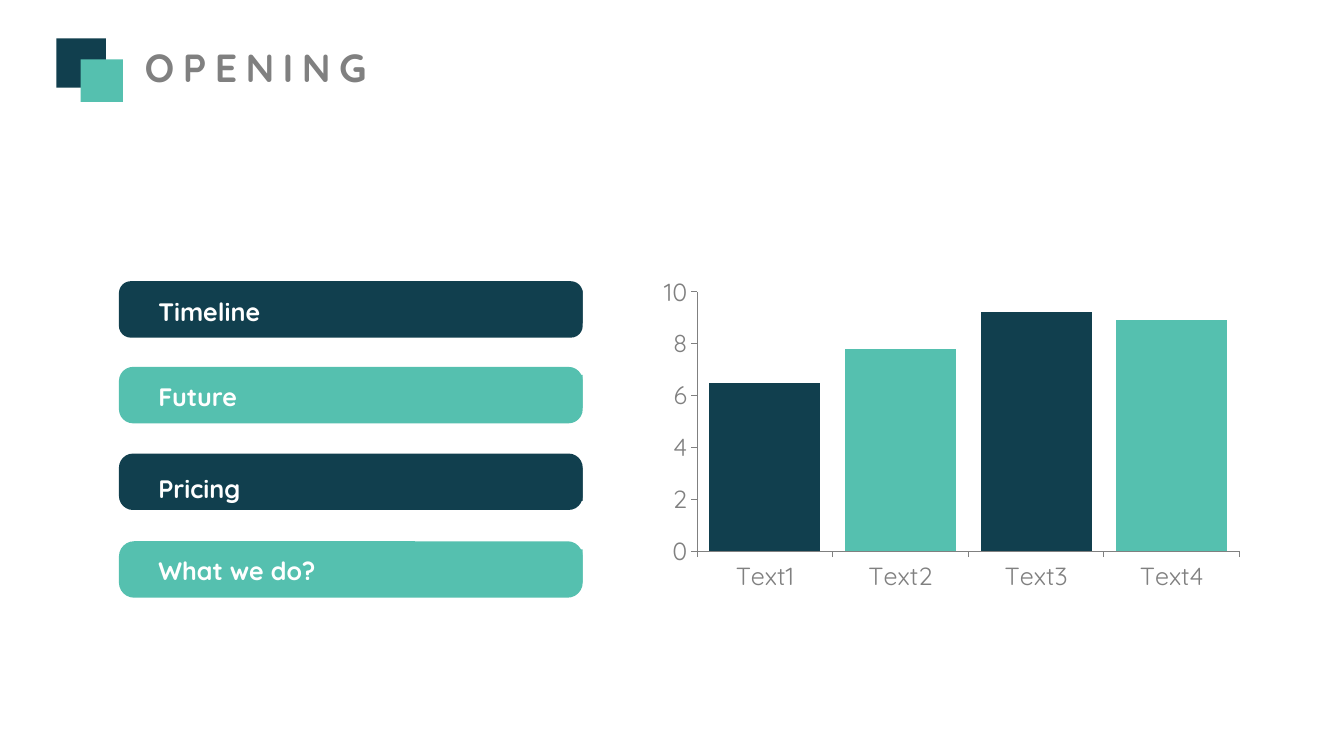
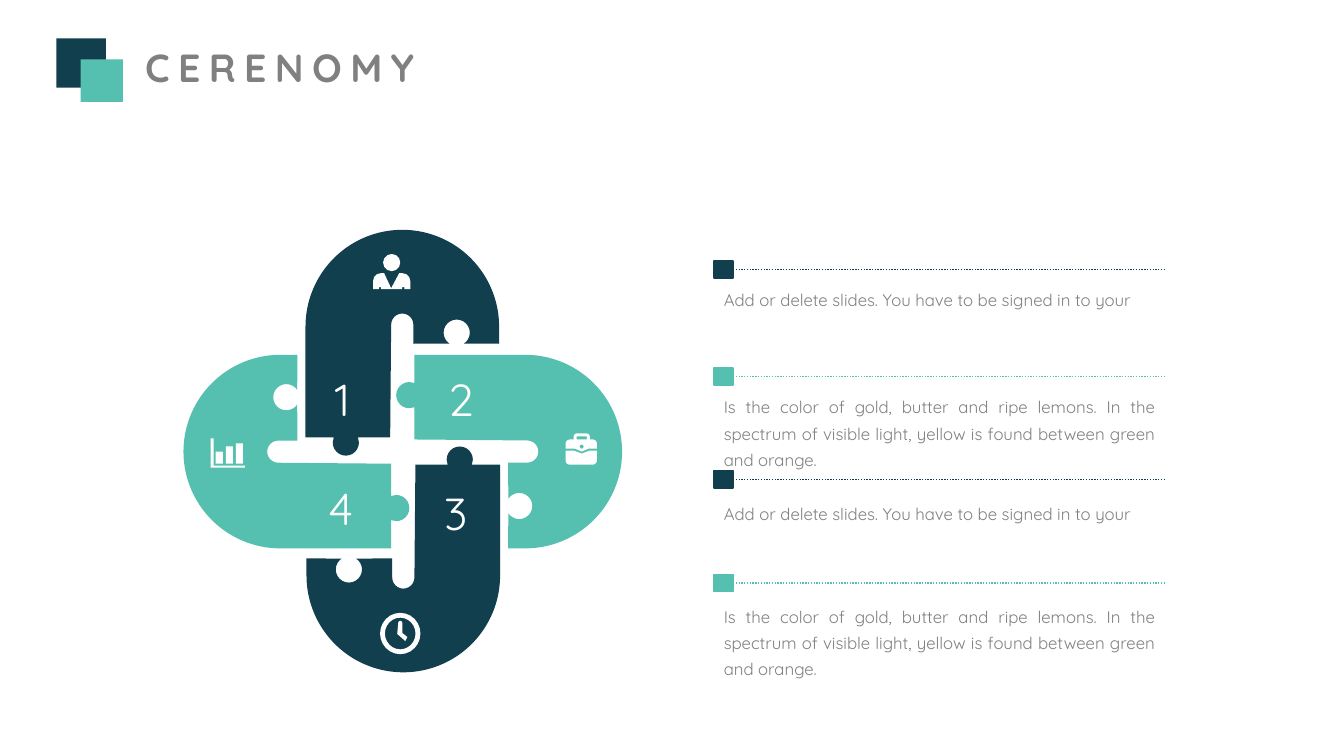
from itertools import cycle
from math import cos, radians, sin

from lxml import etree
from pptx import Presentation
from pptx.chart.data import CategoryChartData
from pptx.dml.color import RGBColor
from pptx.enum.chart import XL_CHART_TYPE, XL_TICK_MARK
from pptx.enum.dml import MSO_LINE
from pptx.enum.shapes import MSO_CONNECTOR, MSO_SHAPE
from pptx.enum.text import MSO_ANCHOR, MSO_AUTO_SIZE, PP_ALIGN
from pptx.oxml import parse_xml
from pptx.oxml.ns import nsdecls, qn
from pptx.util import Emu, Pt

NAVY = RGBColor(0x11, 0x3F, 0x4E)
TEAL = RGBColor(0x55, 0xC0, 0xAF)
GRAY = RGBColor(0x80, 0x80, 0x80)
WHITE = RGBColor(0xFF, 0xFF, 0xFF)
FONT = "Quicksand"
EMU_PER_PX = 9144

AGENDA = [
    ("Timeline", 279, 288, 0.21),
    ("Future", 364, 372, 0.25),
    ("Pricing", 450, 464, 0.25),
    ("What we do?", 537, 545, 0.27),
]
SCORES = {"Text1": 6.5, "Text2": 7.8, "Text3": 9.2, "Text4": 8.9}
SIGN_IN = "Add or delete slides. You have to be signed in to your"
YELLOW = (
    "Is the color of gold, butter and ripe lemons. In the spectrum of "
    "visible light, yellow is found between green and orange."
)
NOTES = [
    (SIGN_IN, 259, 277, 63),
    (YELLOW, 365, 383, 89),
    (SIGN_IN, 467, 489, 63),
    (YELLOW, 570, 591, 89),
]
PUZZLE = [(182, 352, 180), (287, 244, 270), (393, 352, 0), (288, 459, 90)]
NUMBERS = [("1", 308, 364, 63), ("2", 413, 364, 88), ("3", 408, 477, 88), ("4", 294, 472, 88)]


def px(length):
    """Turn px into EMU."""
    return Emu(round(length * EMU_PER_PX))


def arc(x, y, radius, start, end):
    """Return arc vertices, split at quadrants, as x, y, radius, start angle and sweep."""
    quadrants = [angle for angle in range(-360, 361, 90) if min(start, end) < angle < max(start, end)]
    angles = [start, *sorted(quadrants, reverse=end < start), end]
    points = [(x + radius * cos(radians(a)), y + radius * sin(radians(a))) for a in angles]
    bends = [(radius, a, b - a) for a, b in zip(angles, angles[1:])]
    return [points[0], *(point + bend for point, bend in zip(points[1:], bends))]


def paint(shape, color, border=None):
    """Give a shape a flat fill, an optional border and no shadow."""
    shape.shadow.inherit = False
    shape.fill.solid()
    shape.fill.fore_color.rgb = color
    if border:
        shape.line.color.rgb = border
        shape.line.width = Pt(1)
    else:
        shape.line.fill.background()
    return shape


def add_block(slide, kind, box, color, border=None):
    """Add a painted preset shape."""
    shape = slide.shapes.add_shape(kind, *map(px, box))
    return paint(shape, color, border)


def bend_segment(segment, radius, start, sweep):
    """Replace a straight segment of a freeform by an arc."""
    bend = etree.Element(qn("a:arcTo"))
    for key, value in (("wR", px(radius)), ("hR", px(radius)),
                       ("stAng", start % 360 * 60000), ("swAng", sweep * 60000)):
        bend.set(key, str(int(value)))
    segment.getparent().replace(segment, bend)


def add_outline(slide, color, *contours, left=0, top=0):
    """Add a closed freeform; contours after the first cut holes."""
    builder = None
    vertices = []
    for contour in contours:
        start, *rest = [(px(left + x), px(top + y)) for x, y, *_ in contour]
        if builder is None:
            builder = slide.shapes.build_freeform(*start)
        else:
            builder.move_to(*start)
        builder.add_line_segments(rest, close=True)
        vertices += contour[1:]
    shape = builder.convert_to_shape()
    segments = list(shape._element.iter(qn("a:lnTo")))
    for segment, (_, _, *bend) in zip(segments, vertices):
        if bend:
            bend_segment(segment, *bend)
    return paint(shape, color)


def write(shape, text, size, color, align, bold=False, spacing=None, wrap=True):
    """Write one paragraph with one run into a shape."""
    frame = shape.text_frame
    frame.word_wrap = wrap
    frame.auto_size = MSO_AUTO_SIZE.SHAPE_TO_FIT_TEXT
    frame.vertical_anchor = MSO_ANCHOR.TOP
    paragraph = frame.paragraphs[0]
    paragraph.alignment = align
    if spacing:
        paragraph.line_spacing = spacing
    run = paragraph.add_run()
    run.text = text
    run.font.name = FONT
    run.font.size = Pt(size)
    run.font.bold = bold
    run.font.color.rgb = color
    return run


def add_title(slide, text, left, width):
    """Add the two overlapping squares and the spaced title."""
    title = slide.shapes.add_textbox(px(left), px(38), px(width), px(57))
    run = write(title, text, 28, GRAY, PP_ALIGN.CENTER, bold=True, wrap=False)
    run.font._element.set("spc", "600")
    add_block(slide, MSO_SHAPE.RECTANGLE, (56, 38, 49, 49), NAVY)
    add_block(slide, MSO_SHAPE.RECTANGLE, (80, 59, 42, 42), TEAL)


def add_agenda(slide):
    """Add the rounded bars with their labels."""
    for (text, top, label_top, rounding), color in zip(AGENDA, cycle((NAVY, TEAL))):
        bar = add_block(slide, MSO_SHAPE.ROUNDED_RECTANGLE, (118, top, 460, 56), color)
        bar.adjustments[0] = rounding
        label = add_block(slide, MSO_SHAPE.RECTANGLE, (157, label_top, 421, 33), color)
        frame = label.text_frame
        frame.margin_left = frame.margin_right = frame.margin_top = frame.margin_bottom = 0
        write(label, text, 18, WHITE, PP_ALIGN.JUSTIFY, bold=True, spacing=1.2)


def place_plot(chart, x, y, width, height):
    """Fix the inner plot area as fractions of the chart."""
    plot_area = chart._chartSpace.chart.plotArea
    for layout in plot_area.findall(qn("c:layout")):
        plot_area.remove(layout)
    fractions = {"x": x, "y": y, "w": width, "h": height}
    modes = '<c:xMode val="edge"/><c:yMode val="edge"/>'
    values = "".join(f'<c:{key} val="{value}"/>' for key, value in fractions.items())
    plot_area.insert(0, parse_xml(
        f'<c:layout {nsdecls("c")}><c:manualLayout><c:layoutTarget val="inner"/>'
        f"{modes}{values}</c:manualLayout></c:layout>"
    ))


def add_scores(slide):
    """Add the column chart with alternating colours."""
    data = CategoryChartData()
    data.categories = list(SCORES)
    data.add_series("Series 1", list(SCORES.values()))
    box = map(px, (651, 274, 579, 344))
    chart = slide.shapes.add_chart(XL_CHART_TYPE.COLUMN_CLUSTERED, *box, data).chart
    chart.has_title = chart.has_legend = False
    chart.font.name = FONT
    chart.font.size = Pt(18)
    for axis in (chart.category_axis, chart.value_axis):
        axis.has_major_gridlines = False
        axis.major_tick_mark = XL_TICK_MARK.OUTSIDE
        axis.tick_labels.font.color.rgb = GRAY
        axis.tick_labels.font.size = Pt(18)
        axis.tick_labels.font.name = FONT
        axis.format.line.color.rgb = GRAY
        axis.format.line.width = Pt(0.75)
    chart.value_axis.minimum_scale = 0
    chart.value_axis.maximum_scale = 10
    chart.value_axis.major_unit = 2
    plot = chart.plots[0]
    plot.gap_width = 22
    plot.overlap = -3
    plot.vary_by_categories = False
    columns = plot.series[0]
    columns.format.fill.solid()
    columns.format.fill.fore_color.rgb = TEAL
    for index in range(0, len(SCORES), 2):
        fill = columns.points[index].format.fill
        fill.solid()
        fill.fore_color.rgb = NAVY
    place_plot(chart, 0.07, 0.03, 0.93, 0.76)


def add_puzzle(slide):
    """Add four interlocking pieces, one outline in four turns."""
    outline = [
        (111, 192), *arc(122, 150, 13, 146, -146), (111, 107),
        *arc(130, 96, 11, 90, -90), (18, 84), *arc(13, 40, 13, 67, 293),
        (18, 0), *arc(128, 96, 96, -90, 90),
    ]
    for (left, top, turn), color in zip(PUZZLE, cycle((TEAL, NAVY))):
        piece = add_outline(slide, color, outline, left=left, top=top)
        piece.rotation = turn


def add_clock(slide):
    """Add the clock icon."""
    ring = add_block(slide, MSO_SHAPE.DONUT, (377, 608, 40, 41), WHITE)
    ring.adjustments[0] = 0.12
    add_outline(slide, WHITE, [
        *arc(397, 618, 2, 180, 360), (399, 628), (404, 632), (402, 636), (394, 629),
    ])


def add_person(slide):
    """Add the person icon."""
    add_block(slide, MSO_SHAPE.OVAL, (380, 252, 17, 17), WHITE)
    add_outline(slide, WHITE, [
        (376, 287), (376, 285), (378, 285), (378, 287),
        (399, 287), (399, 285), (401, 285), (401, 287), (407, 287),
        *arc(399, 279, 8, 0, -90), (396, 271), (388, 286), (381, 271),
        *arc(378, 279, 8, -90, -180), (370, 287),
    ])


def add_bar_icon(slide):
    """Add the bar chart icon."""
    for index, height in enumerate((12, 17, 20)):
        box = (214 + 10 * index, 460 - height, 7, height)
        add_block(slide, MSO_SHAPE.RECTANGLE, box, WHITE)
    add_outline(slide, WHITE, [
        (209, 464), (209, 435), (212, 435), (212, 462), (243, 462), (243, 464),
    ])


def add_briefcase(slide):
    """Add the briefcase icon."""
    add_outline(
        slide, WHITE,
        [
            (561, 445), (570, 445), (577, 448), (584, 445), (592, 445),
            *arc(588, 440, 4, 0, -90), (585, 436), *arc(582, 433, 3, 0, -90),
            *arc(572, 433, 3, -90, -180), (569, 436), *arc(565, 440, 4, -90, -180),
        ],
        [(572, 433), (582, 433), (582, 436), (572, 436)],
        arc(577, 443, 2, 0, 360),
    )
    add_outline(slide, WHITE, [
        (561, 447), (569, 447), (577, 450), (585, 447), (592, 447),
        *arc(588, 457, 4, 0, 90), *arc(565, 457, 4, 90, 180),
    ])


def add_numbers(slide):
    """Add the numbers on the puzzle pieces."""
    for text, left, top, width in NUMBERS:
        number = slide.shapes.add_textbox(px(left), px(top), px(width), px(64))
        write(number, text, 32, WHITE, PP_ALIGN.CENTER)


def add_rule(slide, top, color):
    """Add a square marker with a dotted line from its right side."""
    marker = add_block(slide, MSO_SHAPE.RECTANGLE, (708, top, 19, 17), color, border=color)
    middle = marker.top + marker.height // 2
    rule = slide.shapes.add_connector(
        MSO_CONNECTOR.STRAIGHT, marker.left + marker.width, middle, px(1156), middle)
    rule.begin_connect(marker, 3)
    rule.line.color.rgb = color
    rule.line.width = Pt(1)
    rule.line.dash_style = MSO_LINE.ROUND_DOT
    etree.SubElement(rule._element.spPr, qn("a:effectLst"))


def add_notes(slide):
    """Add the ruled markers, then the texts over them."""
    for (_, rule_top, _, _), color in zip(NOTES, cycle((NAVY, TEAL))):
        add_rule(slide, rule_top, color)
    for text, _, text_top, height in NOTES:
        note = slide.shapes.add_textbox(px(708), px(text_top), px(448), px(height))
        write(note, text, 12, GRAY, PP_ALIGN.JUSTIFY, spacing=1.3)


def main():
    """Build both slides and save them."""
    deck = Presentation()
    deck.slide_width, deck.slide_height = px(1333), px(750)
    blank = deck.slide_layouts[6]

    opening = deck.slides.add_slide(blank)
    add_scores(opening)
    add_agenda(opening)
    add_title(opening, "OPENING", 125, 257)

    ceremony = deck.slides.add_slide(blank)
    add_notes(ceremony)
    add_puzzle(ceremony)
    for add_icon in (add_clock, add_person, add_bar_icon, add_briefcase):
        add_icon(ceremony)
    add_numbers(ceremony)
    add_title(ceremony, "CERENOMY", 126, 303)

    deck.save("out.pptx")


if __name__ == "__main__":
    main()
